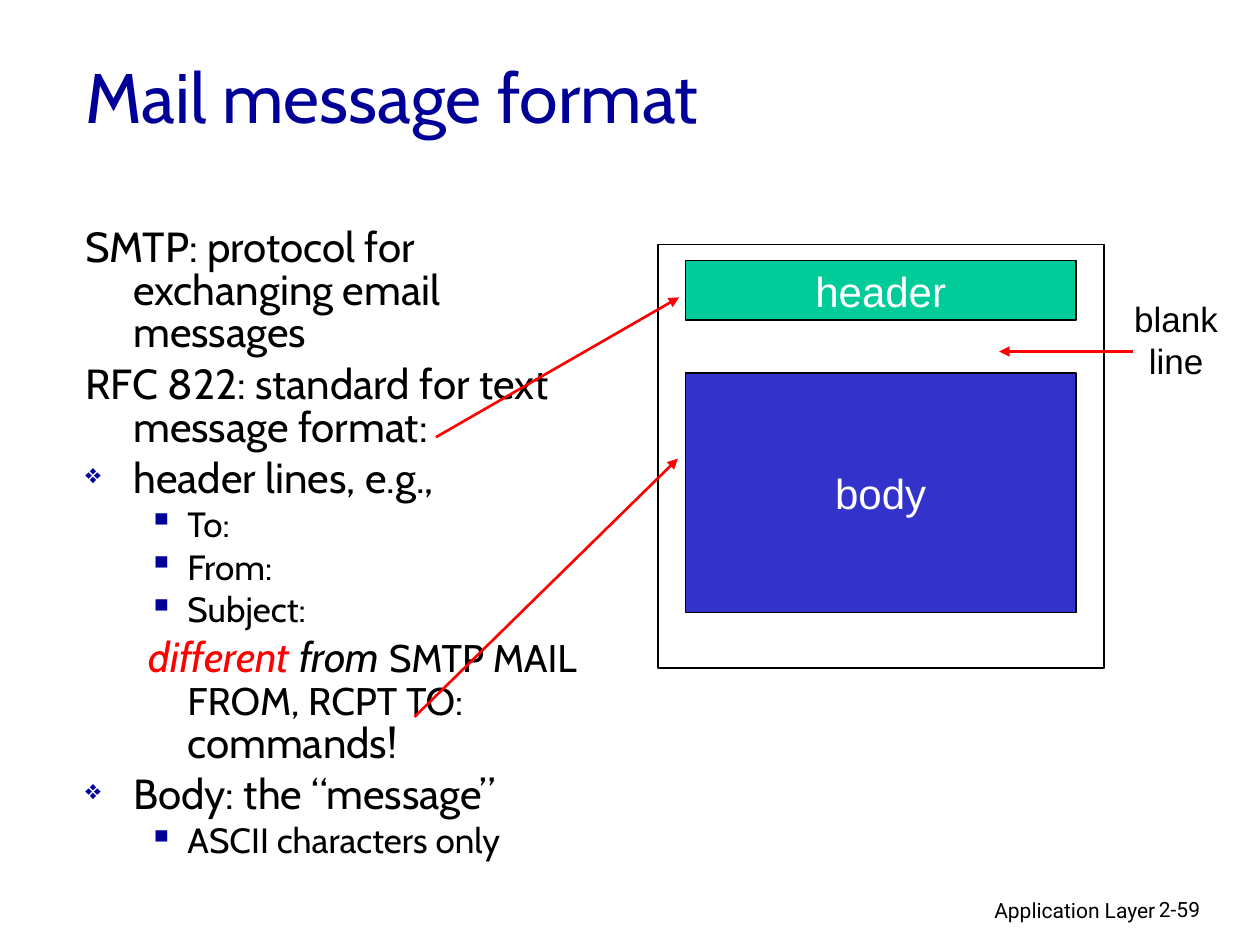
import pptx
import pptx.util
import pptx.dml.color
import pptx.enum.shapes
import pptx.enum.text
import pptx.oxml.ns
from lxml import etree

Inches, Pt = pptx.util.Inches, pptx.util.Pt
ALIGN = pptx.enum.text.PP_ALIGN
ANCHOR = pptx.enum.text.MSO_ANCHOR
BLACK, WHITE, RED, NAVY = "000000", "FFFFFF", "FF0000", "000099"

LEVELS = [
    {"margin": 0.38, "indent": -0.38, "size": 24, "bullet": "❖", "percent": 65},
    {"margin": 0.81, "indent": -0.31, "size": 20, "bullet": "▪", "percent": 100},
]
OUTLINE = [
    (0, False, [("SMTP: protocol for exchanging email messages", {})]),
    (0, False, [("RFC 822: standard for text message format:", {})]),
    (0, True, [("header lines, e.g.,", {})]),
    (1, True, [("To:", {})]),
    (1, True, [("From:", {})]),
    (1, True, [("Subject:", {})]),
    (1, False, [
        ("different ", {"size": 24, "color": RED, "italic": True}),
        ("from ", {"size": 24, "italic": True}),
        ("SMTP MAIL FROM, RCPT TO:", {"size": 22}),
        (" commands!", {"size": 24}),
    ]),
    (0, True, [("Body: the “message”", {})]),
    (1, True, [("ASCII characters only", {})]),
]
LABELS = [
    (["Application Layer"], (6.1, 7.07, 3.17, 0.31),
     {"size": 12, "font": "Roboto", "align": ALIGN.RIGHT}),
    (["2-59"], (9.1, 7.07, 0.74, 0.3), {"size": 12, "font": "Roboto"}),
    (["Mail message format"], (0.58, 0.13, 8.5, 1.25),
     {"size": 40, "font": "Cabin", "color": NAVY, "anchor": ANCHOR.MIDDLE}),
    (["blank", "line"], (8.9, 2.31, 0.87, 0.77),
     {"size": 20, "align": ALIGN.CENTER, "wrap": False}),
]
MESSAGE_PARTS = [
    ("header", (5.44, 2.07, 3.1, 0.47), "00CC99", 0.75),
    ("body", (5.44, 2.96, 3.1, 1.9), "3333CC", 0.75),
    ("", (5.22, 1.94, 3.54, 3.36), None, 1),
]
ARROWS = [
    ((3.46, 3.47), (5.39, 2.36)),
    ((3.29, 5.69), (5.38, 3.64)),
    ((8.99, 2.79), (7.93, 2.79)),
]


def rgb(value):
    return pptx.dml.color.RGBColor.from_string(value)


def add_element(parent, tag, **attributes):
    return etree.SubElement(parent, pptx.oxml.ns.qn(tag), attributes)


def add_run(paragraph, text, size=24, font="Arial", color=BLACK, italic=False):
    run = paragraph.add_run()
    run.text = text
    run.font.size = Pt(size)
    run.font.name = font
    run.font.color.rgb = rgb(color)
    run.font.italic = italic


def write_lines(shape, lines, align=ALIGN.LEFT, anchor=ANCHOR.TOP, wrap=True, **style):
    frame = shape.text_frame
    frame.word_wrap = wrap
    frame.vertical_anchor = anchor
    for index, line in enumerate(lines):
        paragraph = frame.add_paragraph() if index else frame.paragraphs[0]
        paragraph.alignment = align
        add_run(paragraph, line, **style)


def write_outline(shape):
    frame = shape.text_frame
    frame.word_wrap = True
    for index, (depth, bulleted, runs) in enumerate(OUTLINE):
        level = LEVELS[depth]
        paragraph = frame.add_paragraph() if index else frame.paragraphs[0]
        paragraph.level = depth
        paragraph.line_spacing = 0.85
        if index:
            paragraph.space_before = Pt(0.2 * runs[0][1].get("size", level["size"]))
        properties = paragraph._p.get_or_add_pPr()
        properties.set("marL", str(Inches(level["margin"])))
        properties.set("indent", str(Inches(level["indent"])))
        if bulleted:
            add_element(add_element(properties, "a:buClr"), "a:srgbClr", val=NAVY)
            add_element(properties, "a:buSzPct", val=str(level["percent"] * 1000))
            add_element(properties, "a:buChar", char=level["bullet"])
        else:
            add_element(properties, "a:buNone")
        for text, style in runs:
            add_run(paragraph, text, **{"size": level["size"], "font": "Cabin", **style})


def add_message_part(slide, label, box, fill, line_width):
    shape = slide.shapes.add_shape(
        pptx.enum.shapes.MSO_SHAPE.RECTANGLE, *map(Inches, box))
    shape.shadow.inherit = False
    if fill:
        shape.fill.solid()
        shape.fill.fore_color.rgb = rgb(fill)
    else:
        shape.fill.background()
    shape.line.color.rgb = rgb(BLACK)
    shape.line.width = Pt(line_width)
    if label:
        write_lines(shape, [label], align=ALIGN.CENTER, anchor=ANCHOR.MIDDLE,
                    wrap=False, color=WHITE)


def add_arrow(slide, start, end):
    arrow = slide.shapes.add_connector(
        pptx.enum.shapes.MSO_CONNECTOR.STRAIGHT, *map(Inches, start + end))
    arrow.line.color.rgb = rgb(RED)
    arrow.line.width = Pt(1.5)
    add_element(arrow.line._get_or_add_ln(), "a:tailEnd", type="triangle")
    add_element(arrow._element.spPr, "a:effectLst")


def main():
    presentation = pptx.Presentation()
    presentation.slide_width = Inches(10)
    presentation.slide_height = Inches(7.5)
    slide = presentation.slides.add_slide(presentation.slide_layouts[6])
    for lines, box, style in LABELS:
        write_lines(slide.shapes.add_textbox(*map(Inches, box)), lines, **style)
    write_outline(slide.shapes.add_textbox(*map(Inches, (0.58, 1.76, 4.3, 5.08))))
    for part in MESSAGE_PARTS:
        add_message_part(slide, *part)
    for start, end in ARROWS:
        add_arrow(slide, start, end)
    presentation.save("out.pptx")


if __name__ == "__main__":
    main()
